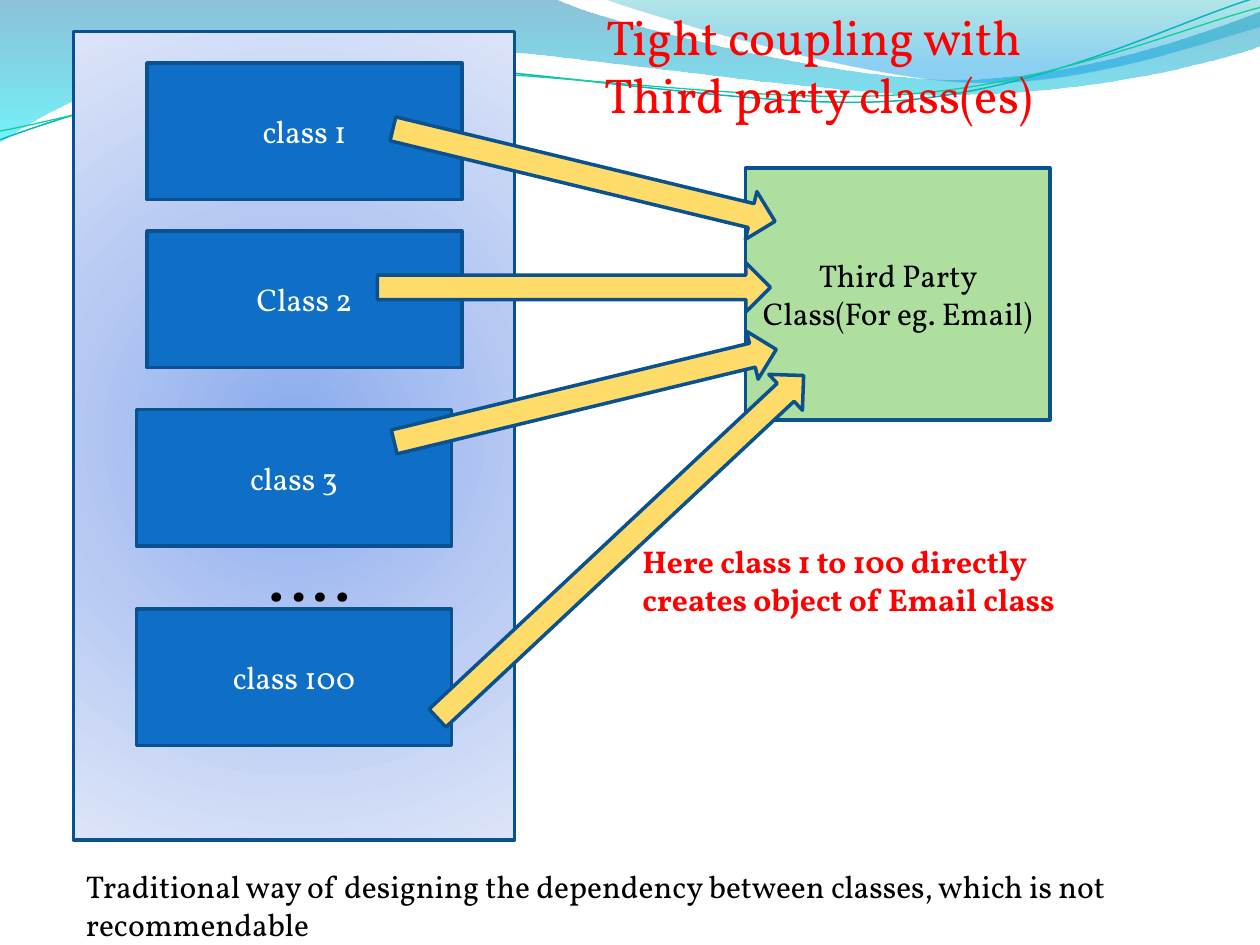
"""Build a slide showing many classes tightly coupled to one third party class."""
from dataclasses import dataclass
from math import cos, radians, sin

from lxml.etree import fromstring
from pptx import Presentation
from pptx.dml.color import RGBColor
from pptx.enum.shapes import MSO_SHAPE as Shape
from pptx.enum.text import MSO_ANCHOR as Anchor, PP_ALIGN as Align
from pptx.oxml.ns import nsdecls
from pptx.util import Inches, Pt


@dataclass(frozen=True)
class Theme:
    font: str = "Vollkorn"
    title: int = 28
    body: int = 18
    dots: int = 40
    outline: int = 2
    ink: str = "000000"
    light: str = "FFFFFF"
    alert: str = "FF0000"
    edge: str = "0A5190"
    own: str = "0F6FC6"
    foreign: str = "AFDF9F"
    arrow: str = "FFDB69"
    panel: tuple = ((0, "89AAED", 100), (50, "B7C9F3", 100), (100, "DCE4F8", 100))
    deep_wave: tuple = ((0, "0079AD", 45), (100, "00E9F7", 55))
    bright_wave: tuple = ((0, "00ABB4", 30), (80, "0099E4", 45), (100, "0099E4", 45))
    teal: str = "09B6BE"
    green: str = "10CF9B"


def write(shape, text, size, color, bold=False, align=Align.CENTER, anchor=Anchor.TOP):
    frame = shape.text_frame
    frame.word_wrap = True
    frame.vertical_anchor = anchor
    for index, line in enumerate(text.split("\n")):
        para = frame.add_paragraph() if index else frame.paragraphs[0]
        para.alignment = align
        span = para.add_run()
        span.text = line
        span.font.name = theme.font
        span.font.size = Pt(size)
        span.font.bold = bold
        span.font.color.rgb = RGBColor.from_string(color)


def fill_gradient(shape, stops, direction):
    shape.fill.background()
    marks = "".join(
        f'<a:gs pos="{pos * 1000}"><a:srgbClr val="{color}">'
        f'<a:alpha val="{alpha * 1000}"/></a:srgbClr></a:gs>'
        for pos, color, alpha in stops)
    gradient = fromstring(
        f'<a:gradFill {nsdecls("a")} rotWithShape="1"><a:gsLst>{marks}</a:gsLst>{direction}</a:gradFill>')
    properties = shape._element.spPr
    properties.replace(properties.find("{*}noFill"), gradient)


theme = Theme()
deck = Presentation()
deck.slide_width, deck.slide_height = Inches(10), Inches(7.5)
page = deck.slides.add_slide(deck.slide_layouts[6])
shapes = page.shapes
CELL = deck.slide_width // 120
FINE = deck.slide_width // 1000
DOWNWARD = '<a:lin ang="5400000" scaled="1"/>'
FROM_CENTRE = ('<a:path path="circle"><a:fillToRect l="50000" t="50000" '
               'r="50000" b="50000"/></a:path>')

# Pairs are straight steps, sixes are curves; all on the fine grid.
waves = [
    (theme.deep_wave, 0, 0, [
        (0, 0), (440, -1), (476, 17, 664, 63, 758, 63), (853, 63, 958, 26, 1000, 9),
        (1001, 36), (983, 44, 870, 76, 746, 75), (622, 75, 382, 28, 257, 34),
        (129, 36, 46, 83, -1, 113)]),
    (theme.bright_wave, 0, 0, [
        (479, -1), (509, 11, 682, 62, 769, 65), (856, 69, 961, 32, 1000, 21), (1000, 0)]),
    (theme.teal, 0.85, 2.7, [
        (0, 111), (48, 93, 158, 57, 277, 52), (395, 47, 593, 89, 713, 80),
        (833, 71, 938, 15, 998, -2)]),
    (theme.green, 0.75, 2.7, [
        (0, 104), (47, 96, 164, 61, 283, 56), (403, 51, 597, 84, 717, 75),
        (836, 67, 941, 21, 1000, 6)]),
]
for paint, width, tilt, steps in waves:
    c, s = cos(radians(tilt)), sin(radians(tilt))
    level = [[(round((500 + (x - 500) * c - (y - 58) * s) * FINE) if tilt else x * FINE,
               round((58 + (x - 500) * s + (y - 58) * c) * FINE) if tilt else y * FINE)
              for x, y in zip(step[::2], step[1::2])] for step in steps]
    builder = shapes.build_freeform(*level[0][-1])
    builder.add_line_segments([step[-1] for step in level[1:]], close=not width)
    wave = builder.convert_to_shape()
    wave.shadow.inherit = False
    for segment, step in zip(list(wave._element.iter("{*}lnTo")), level[1:]):
        if len(step) == 3:
            spots = "".join(f'<a:pt x="{x - wave.left}" y="{y - wave.top}"/>' for x, y in step)
            curve = fromstring(f'<a:cubicBezTo {nsdecls("a")}>{spots}</a:cubicBezTo>')
            segment.getparent().replace(segment, curve)
    wave.rotation = -tilt
    if width:
        wave.fill.background()
        wave.line.color.rgb = RGBColor.from_string(paint)
        wave.line.width = Pt(width)
    else:
        wave.line.fill.background()
        fill_gradient(wave, paint, DOWNWARD)

boxes = [
    ("", 7, 3, 42, 77, None, theme.ink),
    ("class 1", 14, 6, 30, 13, theme.own, theme.light),
    ("Third Party Class(For eg. Email)", 71, 16, 29, 24, theme.foreign, theme.ink),
    ("Class 2", 14, 22, 30, 13, theme.own, theme.light),
    ("class 3", 13, 39, 30, 13, theme.own, theme.light),
    ("class 100", 13, 58, 30, 13, theme.own, theme.light),
]
arrows = [(444, -17, 312, 283.6), (436, 72, 312, 270), (445, 158, 312, 256.4), (473, 235, 398, 226.9)]
outlined = []
for text, column, row, columns, rows, color, ink in boxes:
    box = shapes.add_shape(Shape.RECTANGLE, *(n * CELL for n in (column, row, columns, rows)))
    outlined.append((box, color))
    if text:
        write(box, text, theme.body, ink, anchor=Anchor.MIDDLE)
for left, top, length, turn in arrows:
    arrow = shapes.add_shape(Shape.DOWN_ARROW, *(n * FINE for n in (left, top, 39, length)))
    arrow.rotation = turn
    outlined.append((arrow, theme.arrow))
for shape, color in outlined:
    shape.shadow.inherit = False
    shape.line.color.rgb = RGBColor.from_string(theme.edge)
    shape.line.width = Pt(theme.outline)
    if color:
        shape.fill.solid()
        shape.fill.fore_color.rgb = RGBColor.from_string(color)
    else:
        fill_gradient(shape, theme.panel, FROM_CENTRE)

labels = [
    ("Tight coupling with \nThird party class(es)", 39, 0, 78, 12.5,
     dict(size=theme.title, color=theme.alert)),
    ("Traditional way of designing the dependency between classes, which is not recommendable",
     7, 82, 113, 8.5, dict(size=theme.body, color=theme.ink, align=Align.LEFT)),
    ("….", 12, 50, 35, 9.25, dict(size=theme.dots, color=theme.ink)),
    ("Here class 1 to 100 directly creates object of Email class", 60, 51, 43, 8.5,
     dict(size=theme.body, color=theme.alert, bold=True, align=Align.LEFT)),
]
for text, column, row, columns, rows, style in labels:
    label = shapes.add_textbox(*(round(n * CELL) for n in (column, row, columns, rows)))
    write(label, text, **style)

deck.save("out.pptx")
